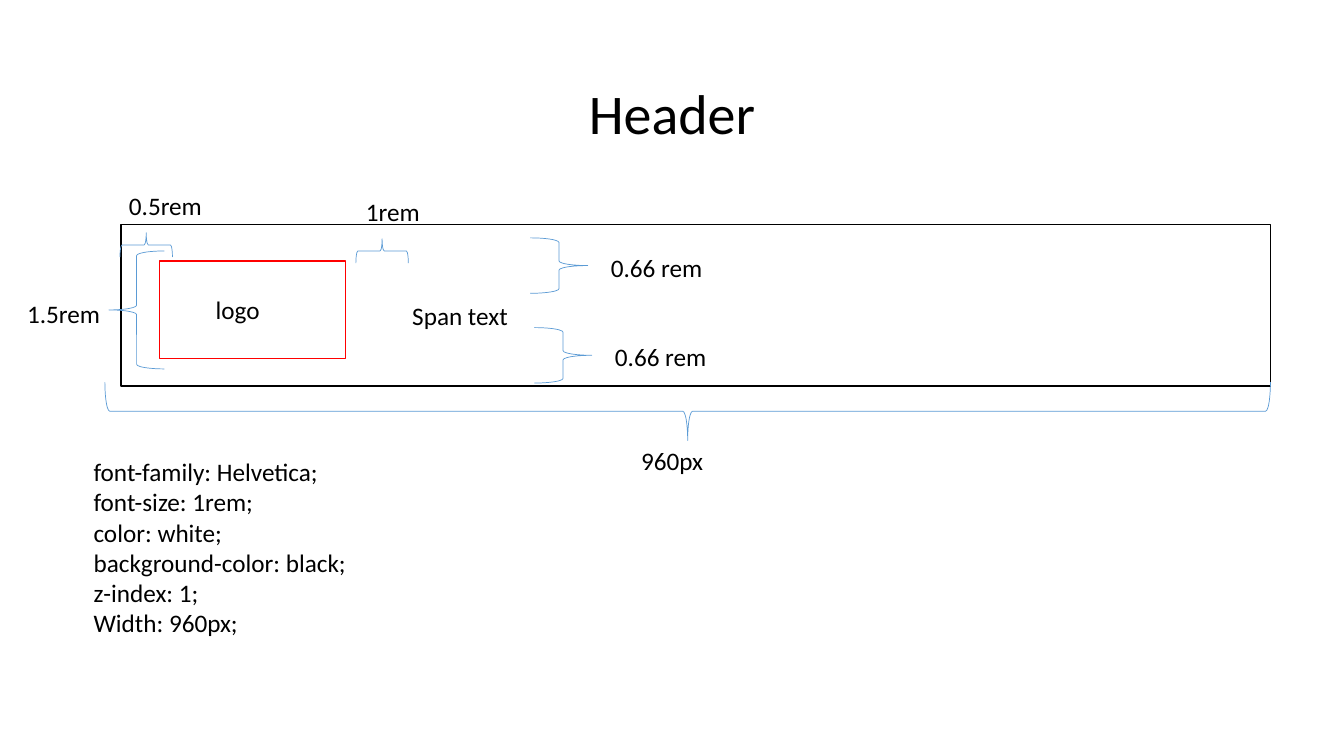
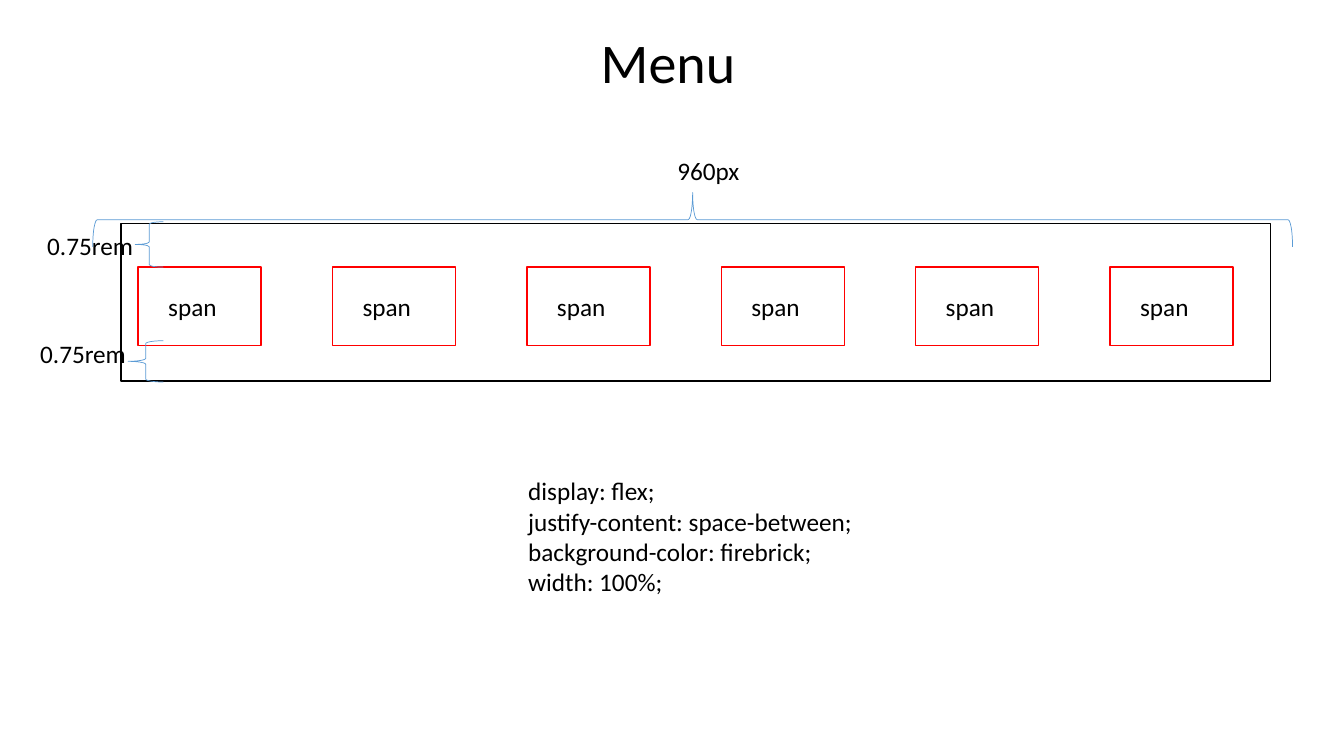
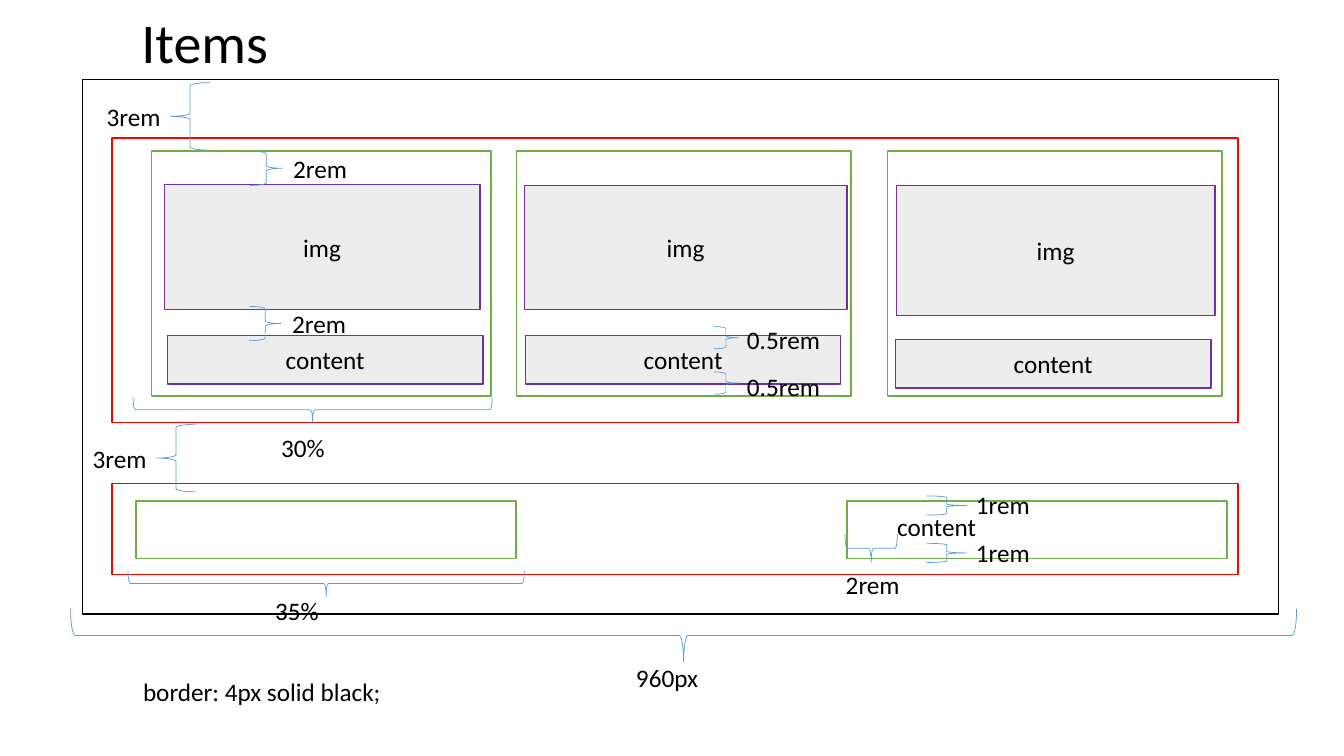
from pptx import Presentation
from pptx.dml.color import RGBColor
from pptx.enum.shapes import MSO_SHAPE
from pptx.enum.text import MSO_ANCHOR, MSO_AUTO_SIZE, PP_ALIGN
from pptx.util import Inches, Pt

FONT = "Calibri"
BLACK, RED, GREEN = "000000", "FF0000", "70AD47"
PURPLE, BLUE, GRAY = "7030A0", "5B9BD5", "EDEDED"
# Rotation, horizontal flip and vertical flip for each way a brace points
TURNS = {"left": (0, False, False), "right": (0, True, False),
         "up": (90, False, True), "down": (270, False, True)}


def color(value):
    """Turn a hex string into a colour."""
    return RGBColor.from_string(value)


def write(frame, text, size=18, ink=BLACK, align=PP_ALIGN.LEFT,
          anchor=MSO_ANCHOR.TOP, wrap=True, grow=True):
    """Fill a text frame and format all its lines."""
    frame.text = text
    frame.word_wrap = wrap
    frame.vertical_anchor = anchor
    frame.auto_size = MSO_AUTO_SIZE.SHAPE_TO_FIT_TEXT if grow else MSO_AUTO_SIZE.NONE
    for line in frame.paragraphs:
        line.alignment = align
        for run in line.runs:
            run.font.name = FONT
            run.font.size = Pt(size)
            run.font.color.rgb = color(ink)


def start(deck, title, x, y, w):
    """Add a slide with its title in place."""
    slide = deck.slides.add_slide(deck.slide_layouts[5])
    head = slide.shapes.title
    head.left, head.top = Inches(x), Inches(y)
    head.width, head.height = Inches(w), Inches(0.77)
    write(head.text_frame, title, size=40, align=PP_ALIGN.CENTER)
    return slide


def label(slide, text, x, y, w, h=0.4, wrap=True):
    """Add plain text."""
    area = slide.shapes.add_textbox(Inches(x), Inches(y), Inches(w), Inches(h))
    write(area.text_frame, text, wrap=wrap)


def shape(slide, kind, x, y, w, h, line, width):
    """Add an unfilled outline shape."""
    item = slide.shapes.add_shape(kind, Inches(x), Inches(y), Inches(w), Inches(h))
    item.shadow.inherit = False
    item.fill.background()
    item.line.color.rgb = color(line)
    item.line.width = Pt(width)
    return item


def box(slide, x, y, w, h, line):
    """Add an outlined rectangle."""
    return shape(slide, MSO_SHAPE.RECTANGLE, x, y, w, h, line, 1)


def block(slide, text, x, y, w, h):
    """Add a gray block with centred text."""
    item = box(slide, x, y, w, h, PURPLE)
    item.fill.solid()
    item.fill.fore_color.rgb = color(GRAY)
    write(item.text_frame, text, align=PP_ALIGN.CENTER,
          anchor=MSO_ANCHOR.MIDDLE, grow=False)


def brace(slide, x, y, w, h, way):
    """Add a brace that fills the given area and points one way."""
    turn, across, down = TURNS[way]
    if turn:
        x, y, w, h = x + (w - h) / 2, y + (h - w) / 2, h, w
    item = shape(slide, MSO_SHAPE.LEFT_BRACE, x, y, w, h, BLUE, 0.5)
    item.rotation = turn
    frame = item.element.spPr.xfrm
    for name, on in (("flipH", across), ("flipV", down)):
        if on:
            frame.set(name, "1")


def sizes(slide, rows):
    """Add measures: text, its left, top and width, brace area, way."""
    for text, spot, area, way in rows:
        brace(slide, *area, way)
        label(slide, text, *spot)


def header(deck):
    """Build the header slide."""
    slide = start(deck, "Header", 0, 0.73, 13.33)
    box(slide, 1.2, 2.23, 11.4, 1.6, BLACK)
    box(slide, 1.58, 2.59, 1.85, 0.97, RED)
    label(slide, "logo", 2.04, 2.87, 0.71)
    label(slide, "Span text", 3.99, 2.93, 3.88)
    sizes(slide, [
        ("0.66 rem", (5.96, 2.45, 1.11), (5.26, 2.36, 0.57, 0.55), "right"),
        ("0.66 rem", (6, 3.34, 1.11), (5.3, 3.25, 0.57, 0.55), "right"),
        ("1.5rem", (0.17, 2.91, 1.18), (1.08, 2.49, 0.55, 1.17), "left"),
        ("0.5rem", (1.18, 1.84, 1.22), (1.19, 2.31, 0.52, 0.24), "up"),
        ("1rem", (3.53, 1.9, 1.22), (3.53, 2.37, 0.52, 0.24), "up"),
        ("960px", (6.26, 4.37, 1.11), (1.04, 3.79, 11.56, 0.58), "down"),
    ])
    label(slide, "font-family: Helvetica;\nfont-size: 1rem;\ncolor: white;\n"
          "background-color: black;\nz-index: 1;\nWidth: 960px;",
          0.83, 4.48, 4.27, 1.92)


def menu(deck):
    """Build the menu slide."""
    slide = start(deck, "Menu", -0.04, 0.22, 13.33)
    box(slide, 1.2, 2.22, 11.4, 1.56, BLACK)
    for i in range(6):
        x = 1.37 + 1.928 * i
        box(slide, x, 2.65, 1.22, 0.78, RED)
        label(slide, "span", x + 0.2, 2.84, 0.83)
    sizes(slide, [
        ("0.75rem", (0.37, 2.24, 1.2), (1.34, 2.2, 0.28, 0.45), "left"),
        ("0.75rem", (0.3, 3.31, 1.2), (1.27, 3.38, 0.35, 0.41), "left"),
        ("960px", (6.62, 1.49, 0.83), (0.92, 1.91, 11.9, 0.54), "up"),
    ])
    label(slide, "display: flex;\njustify-content: space-between;\n"
          "background-color: firebrick;\vwidth: 100%;",
          5.14, 4.67, 3.45, 1.31, wrap=False)


def items(deck):
    """Build the items slide."""
    slide = start(deck, "Items", 0, 0.02, 4.06)
    box(slide, 0.82, 0.79, 11.86, 5.3, BLACK)
    for y, h in ((1.37, 2.82), (4.8, 0.9)):
        box(slide, 1.11, y, 11.17, h, RED)
    for x, w in ((1.5, 3.37), (5.12, 3.32), (8.8, 3.32)):
        box(slide, x, 1.5, w, 2.43, GREEN)
    for x in (1.35, 8.4):
        box(slide, x, 4.97, 3.77, 0.57, GREEN)
    for area in ((1.63, 1.83, 3.13, 1.24), (5.2, 1.84, 3.2, 1.23),
                 (8.89, 1.84, 3.16, 1.29)):
        block(slide, "img", *area)
    for x, y in ((1.66, 3.33), (5.21, 3.33), (8.88, 3.37)):
        block(slide, "content", x, y, 3.13, 0.48)
    sizes(slide, [
        ("3rem", (0.96, 0.96, 0.82), (1.69, 0.82, 0.39, 0.67), "left"),
        ("3rem", (0.82, 4.35, 0.82), (1.55, 4.21, 0.39, 0.67), "left"),
        ("2rem", (2.81, 1.47, 0.82), (2.48, 1.5, 0.32, 0.34), "right"),
        ("2rem", (2.8, 3.01, 0.82), (2.47, 3.04, 0.32, 0.34), "right"),
        ("0.5rem", (7.31, 3.17, 1.02), (7.08, 3.24, 0.24, 0.22), "right"),
        ("0.5rem", (7.31, 3.63, 1.02), (7.08, 3.69, 0.24, 0.22), "right"),
        ("1rem", (9.58, 4.81, 0.82), (9.19, 4.92, 0.4, 0.19), "right"),
        ("1rem", (9.58, 5.28, 0.82), (9.19, 5.39, 0.4, 0.19), "right"),
        ("30%", (2.69, 4.24, 0.82), (1.32, 3.94, 3.56, 0.25), "down"),
        ("35%", (2.63, 5.86, 0.9), (1.27, 5.66, 3.93, 0.26), "down"),
        ("2rem", (8.29, 5.6, 0.9), (8.38, 5.3, 0.52, 0.28), "down"),
        ("960px", (6.21, 6.52, 1.13), (0.7, 6.04, 12.16, 0.53), "down"),
    ])
    label(slide, "content", 8.8, 5.02, 0.99, wrap=False)
    label(slide, "border: 4px solid black;", 1.32, 6.66, 2.59, wrap=False)


def main():
    """Build and save the deck."""
    deck = Presentation()
    deck.slide_width, deck.slide_height = Inches(13.33), Inches(7.5)
    for build in (header, menu, items):
        build(deck)
    deck.save("out.pptx")


main()
